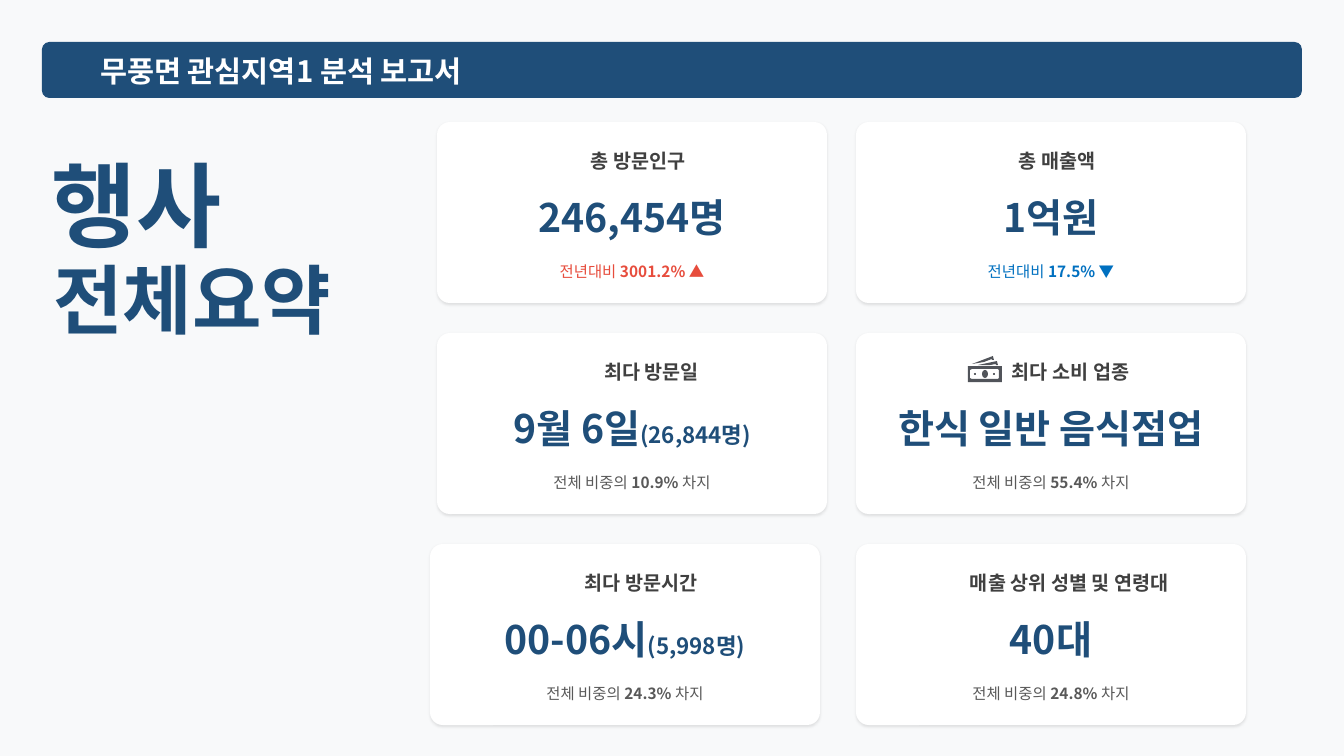
from lxml import etree
from pptx import Presentation
from pptx import util as u
from pptx.dml.color import RGBColor
from pptx.enum import shapes, text
from pptx.oxml.ns import qn

PX = 12192000 / 1344
FONT = "Noto Sans CJK KR"
NAVY, WHITE, DARK, GRAY = "1F4E79", "FFFFFF", "404040", "595959"
RED, BLUE, ICON = "E74C3C", "0070C0", "51545A"


def px(length):
    return u.Emu(round(length * PX))


def color(value):
    return RGBColor.from_string(value)


def paint(shape, fill):
    shape.shadow.inherit = False
    shape.fill.solid()
    shape.fill.fore_color.rgb = color(fill)
    shape.line.fill.background()
    return shape


def add_preset(slide, kind, left, top, width, height, fill):
    return paint(slide.shapes.add_shape(kind, px(left), px(top), px(width), px(height)), fill)


def add_rounded(slide, left, top, width, height, fill, corner):
    shape = add_preset(slide, shapes.MSO_SHAPE.ROUNDED_RECTANGLE, left, top, width, height, fill)
    shape.adjustments[0] = corner
    return shape


def add_soft_shadow(shape):
    effects = shape.element.spPr.find(qn("a:effectLst"))
    shadow = etree.SubElement(effects, qn("a:outerShdw"), blurRad=str(u.Pt(2)),
                              dist=str(u.Pt(1)), dir="5400000", algn="t", rotWithShape="0")
    tone = etree.SubElement(shadow, qn("a:srgbClr"), val="000000")
    etree.SubElement(tone, qn("a:alpha"), val="10000")


def write(shape, runs, size, fill, bold=True, centered=False, wrap=True):
    frame = shape.text_frame
    frame.word_wrap = wrap
    frame.auto_size = text.MSO_AUTO_SIZE.NONE
    frame.vertical_anchor = text.MSO_ANCHOR.MIDDLE
    frame.margin_left = frame.margin_right = frame.margin_top = frame.margin_bottom = 0
    paragraph = frame.paragraphs[0]
    paragraph.alignment = text.PP_ALIGN.CENTER if centered else text.PP_ALIGN.LEFT
    for words, changes in runs:
        run = paragraph.add_run()
        run.text = words
        run.font.size = u.Pt(changes.get("size", size))
        run.font.bold = changes.get("bold", bold)
        run.font.color.rgb = color(fill)
        run.font.name = FONT
        etree.SubElement(run.font._element, qn("a:ea"), typeface=FONT)


def add_text(slide, left, top, width, height, runs, **style):
    box = slide.shapes.add_textbox(px(left), px(top), px(width), px(height))
    write(box, runs, **style)


def add_header(slide, left, top, width, height):
    bar = add_rounded(slide, left, top, width, height, NAVY, 0.13)
    title = slide.shapes.title
    title.element.addprevious(bar.element)
    title.left, title.top = px(left + 58), px(top + 7)
    title.width, title.height = px(662), px(43)
    write(title, [("무풍면 관심지역1 분석 보고서", {})], size=21, fill=WHITE)


def add_headline(slide, left, top):
    add_text(slide, left, top, 235, 133, [("행사", {})], size=66, fill=NAVY)
    add_text(slide, left + 1, top + 106, 298, 110, [("전체요약", {})], size=54, fill=NAVY)


def add_outline(slide, left, top, *contours):
    builder = None
    for contour in contours:
        points = [(left + x, top + y) for x, y in contour]
        if builder is None:
            builder = slide.shapes.build_freeform(*points[0], scale=PX)
        else:
            builder.move_to(*points[0])
        builder.add_line_segments(points[1:], close=True)
    paint(builder.convert_to_shape(), ICON)


def add_banknotes(slide, left, top):
    edge = [(0, 0), (0, 16), (34, 16), (34, 0)]
    opening = [(31, 12), (30, 13), (4, 13), (2, 12), (2, 4), (4, 3), (30, 3), (31, 4)]
    back_note = [(24, -7), (24, -6), (26, -6), (25, -10), (4, -2), (16, -4)]
    middle_note = [(22, -1), (28, -2), (28, -1), (30, -1), (29, -5), (10, -1)]
    add_outline(slide, left, top, edge, opening)
    add_outline(slide, left, top, back_note)
    add_outline(slide, left, top, middle_note)
    for x, y, width, height in [(14, 4, 6, 8), (6, 7, 2, 2), (25, 7, 2, 2)]:
        add_preset(slide, shapes.MSO_SHAPE.OVAL, left + x, top + y, width, height, ICON)


def change(percent, fill):
    return [("전년대비 ", {}), (percent, {"bold": True})], fill


def share(percent):
    return [("전체 비중의 ", {}), (percent + " ", {"bold": True}), ("차지", {})], GRAY


def add_card(slide, left, top, width, height, label, label_indent, value, detail, note):
    add_soft_shadow(add_rounded(slide, left, top, width, height, WHITE, 0.07))
    add_text(slide, left + label_indent, top + 26, width - label_indent, 25,
             [(label, {})], size=14, fill=DARK, wrap=False)
    value_runs = [(value, {})]
    if detail:
        value_runs.append((detail, {"size": 16}))
    add_text(slide, left, top + 70, width, 49, value_runs, size=28, fill=NAVY, centered=True)
    note_runs, note_color = note
    add_text(slide, left, top + 135, width, 28, note_runs,
             size=11, fill=note_color, bold=False, centered=True)


def add_cards(slide, left, top):
    width, height, column_step, row_step = 390, 181, 419, 211
    cards = [
        ("총 방문인구", 154, "246,454명", "", change("3001.2% ▲", RED), 0),
        ("총 매출액", 163, "1억원", "", change("17.5% ▼", BLUE), 0),
        ("최다 방문일", 167, "9월 6일", "(26,844명)", share("10.9%"), 0),
        ("최다 소비 업종", 156, "한식 일반 음식점업", "", share("55.4%"), 0),
        ("최다 방문시간", 155, "00-06시", "(5,998명)", share("24.3%"), -7),
        ("매출 상위 성별 및 연령대", 114, "40대", "", share("24.8%"), 0),
    ]
    for index, (label, indent, value, detail, note, shift) in enumerate(cards):
        row, column = divmod(index, 2)
        add_card(slide, left + column * column_step + shift, top + row * row_step,
                 width, height, label, indent, value, detail, note)
    add_banknotes(slide, left + column_step + 112, top + row_step + 33)


def main():
    presentation = Presentation()
    presentation.slide_width, presentation.slide_height = px(1344), px(756)
    slide = presentation.slides.add_slide(presentation.slide_layouts[5])
    slide.background.fill.solid()
    slide.background.fill.fore_color.rgb = color("F8F9FA")
    add_header(slide, 42, 42, 1260, 56)
    add_headline(slide, 52, 137)
    add_cards(slide, 437, 122)
    presentation.save("out.pptx")


if __name__ == "__main__":
    main()
